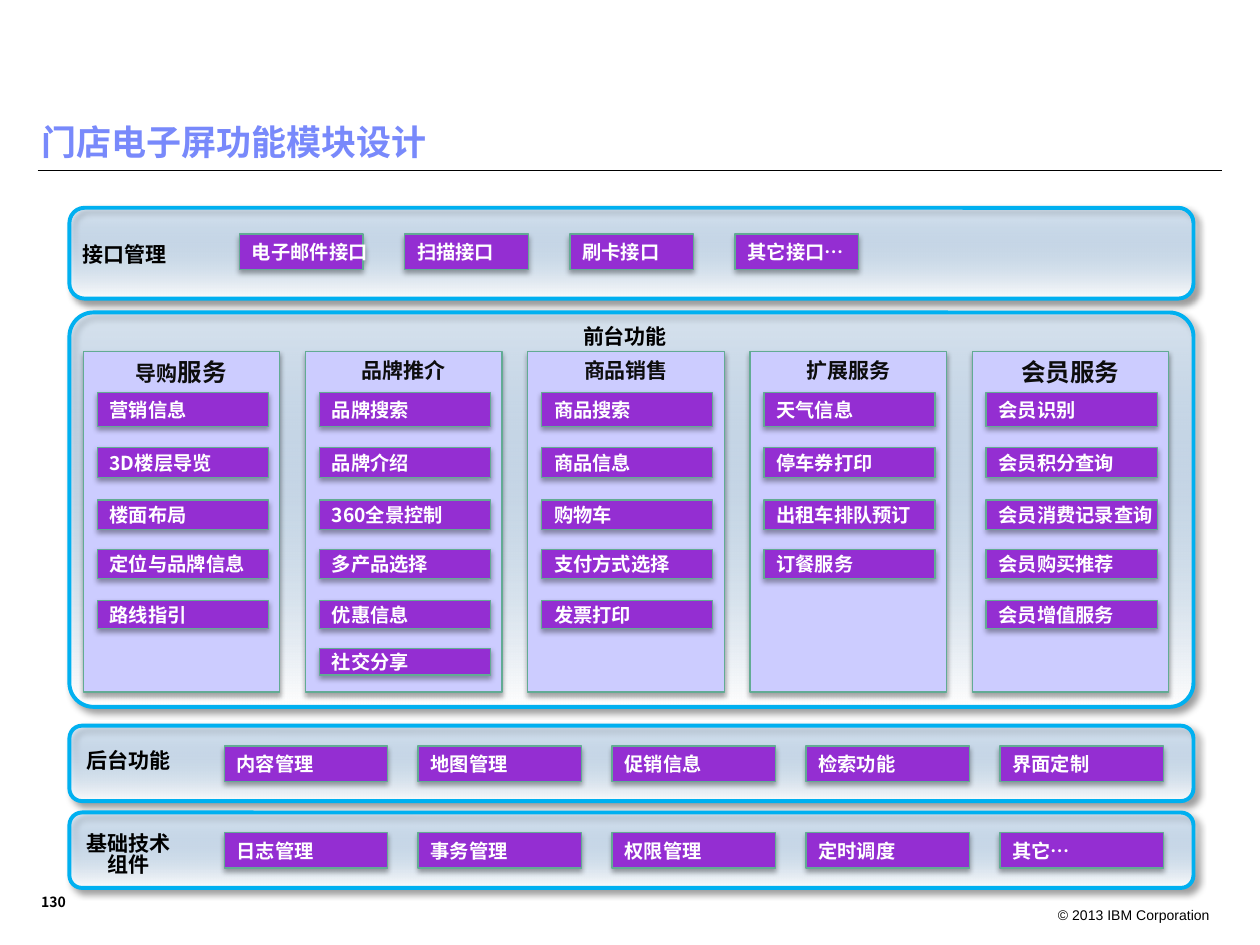
import pptx
import pptx.util
import pptx.dml.color
import pptx.enum.shapes
import pptx.enum.text
import pptx.oxml.ns
import lxml.etree

Cm = pptx.util.Cm
Pt = pptx.util.Pt
ALIGN = pptx.enum.text.PP_ALIGN
ANCHOR = pptx.enum.text.MSO_ANCHOR
SHAPE = pptx.enum.shapes.MSO_SHAPE

TITLE = "门店电子屏功能模块设计"
PAGE_NUMBER = "130"
COPYRIGHT = "© 2013 IBM Corporation"

BANDS = [
    dict(label=["接口管理"], label_at=(0.81, 4.65), top=4.19, height=1.83, corner=0.167,
         chips=["电子邮件接口", "扫描接口", "刷卡接口", "其它接口…"],
         chip_left=4.83, chip_top=4.72, chip_width=2.49, pitch=3.33),
    dict(label=["前台功能"], label_at=(10.9, 6.3), top=6.3, height=7.95, corner=0.061,
         chips=[]),
    dict(label=["后台功能"], label_at=(0.89, 14.86), top=14.63, height=1.52, corner=0.167,
         chips=["内容管理", "地图管理", "促销信息", "检索功能", "界面定制"],
         chip_left=4.52, chip_top=15.04, chip_width=3.3, pitch=3.91),
    dict(label=["基础技术", "组件"], label_at=(0.89, 16.74), top=16.38, height=1.52,
         corner=0.167,
         chips=["日志管理", "事务管理", "权限管理", "定时调度", "其它…"],
         chip_left=4.52, chip_top=16.79, chip_width=3.3, pitch=3.91),
]

COLUMNS = [
    ([("导购", 12), ("服务", 14)],
     ["营销信息", "3D楼层导览", "楼面布局", "定位与品牌信息", "路线指引"]),
    ([("品牌推介", 12)],
     ["品牌搜索", "品牌介绍", "360全景控制", "多产品选择", "优惠信息", "社交分享"]),
    ([("商品销售", 12)],
     ["商品搜索", "商品信息", "购物车", "支付方式选择", "发票打印"]),
    ([("扩展服务", 12)],
     ["天气信息", "停车券打印", "出租车排队预订", "订餐服务"]),
    ([("会员服务", 14)],
     ["会员识别", "会员积分查询", "会员消费记录查询", "会员购买推荐", "会员增值服务"]),
]
COLUMN_LEFT, COLUMN_PITCH, COLUMN_TOP = 1.68, 4.48, 7.08
COLUMN_WIDTH, COLUMN_HEIGHT = 3.96, 6.87
MODULE_ROWS = [(7.91, 0.69), (9.02, 0.61), (10.08, 0.59),
               (11.08, 0.58), (12.1, 0.57), (13.08, 0.53)]

THEME = dict(
    cjk="Noto Sans CJK SC", latin="Arial",
    title="7889FB", ink="000000", heading="0D0D0D", light="FFFFFF",
    chip="942ED2", column="CCCCFF", edge="62AB94",
    band="99CCFF", band_edge="00B0F0",
    title_size=20, label_size=12, chip_size=11, small_size=8,
    band_shadow=(40, 4, 3, 45), chip_shadow=(35, 3.1, 1.8, 90),
)

deck = pptx.Presentation()
deck.slide_width, deck.slide_height = Cm(25.4), Cm(19.05)
slide = deck.slides.add_slide(deck.slide_layouts[5])


def rgb(name):
    return pptx.dml.color.RGBColor.from_string(THEME[name])


def add_child(parent, tag, **attributes):
    child = lxml.etree.SubElement(parent, pptx.oxml.ns.qn(tag))
    for key, value in attributes.items():
        child.set(key, str(value))
    return child


def style(run, size, color, font="cjk", bold=True):
    run.font.size, run.font.bold = Pt(size), bold
    run.font.color.rgb = rgb(color)
    run.font.name = THEME[font]
    add_child(run.font._element, "a:ea", typeface=THEME[font])


def box(kind, left, top, width, height, edge, weight, shadow):
    shape = slide.shapes.add_shape(kind, Cm(left), Cm(top), Cm(width), Cm(height))
    shape.line.color.rgb = rgb(edge)
    shape.line.width = Pt(weight)
    shape.shadow.inherit = False
    opacity, blur, distance, angle = THEME[shadow]
    effects = shape._element.spPr.find(pptx.oxml.ns.qn("a:effectLst"))
    outer = add_child(effects, "a:outerShdw", blurRad=int(Pt(blur)), dist=int(Pt(distance)),
                      dir=angle * 60000, algn="tl", rotWithShape=0)
    add_child(add_child(outer, "a:srgbClr", val=THEME["ink"]), "a:alpha", val=opacity * 1000)
    return shape


def panel(left, top, width, height, fill, runs, color, align, anchor):
    shape = box(SHAPE.RECTANGLE, left, top, width, height, "edge", 0.75, "chip_shadow")
    shape.fill.solid()
    shape.fill.fore_color.rgb = rgb(fill)
    frame = shape.text_frame
    frame.word_wrap = False
    frame.vertical_anchor = anchor
    paragraph = frame.paragraphs[0]
    paragraph.alignment = align
    indent = int(Cm(0.48))
    properties = paragraph._p.get_or_add_pPr()
    properties.set("marL", str(indent))
    properties.set("indent", str(-indent))
    for words, size in runs:
        run = paragraph.add_run()
        run.text = words
        style(run, size, color)


def chip(words, left, top, width, height):
    panel(left, top, width, height, "chip", [(words, THEME["chip_size"])], "light",
          ALIGN.LEFT, ANCHOR.MIDDLE)


def caption(lines, left, top, width, height, size, align, anchor,
            spacing=None, font="cjk", bold=True):
    frame = slide.shapes.add_textbox(Cm(left), Cm(top), Cm(width), Cm(height)).text_frame
    frame.word_wrap = True
    frame.vertical_anchor = anchor
    frame.text = "\n".join(lines)
    for paragraph in frame.paragraphs:
        paragraph.alignment = align
        paragraph.line_spacing = spacing
        style(paragraph.runs[0], size, "ink", font, bold)


def band_background(top, height, corner):
    shape = box(SHAPE.ROUNDED_RECTANGLE, 1.4, top, 22.66, height,
                "band_edge", 2.25, "band_shadow")
    shape.adjustments[0] = corner
    shape.fill.gradient()
    shape.fill.gradient_angle = 270
    for stop, color, position in zip(shape.fill.gradient_stops, ("band", "light"), (0, 1)):
        stop.color.rgb = rgb(color)
        stop.position = position
    tint = next(shape._element.spPr.iter(pptx.oxml.ns.qn("a:srgbClr")))
    add_child(tint, "a:alpha", val=22000)


rule = slide.shapes.add_connector(pptx.enum.shapes.MSO_CONNECTOR.STRAIGHT,
                                  Cm(0.76), Cm(3.43), Cm(24.64), Cm(3.43))
rule.line.color.rgb = rgb("ink")
rule.line.width = Pt(0.75)
add_child(rule._element.spPr, "a:effectLst")

title = slide.shapes.title
title.left, title.top, title.width, title.height = Cm(0.58), Cm(1.63), Cm(24.13), Cm(1.78)
title.text_frame.text = TITLE
title.text_frame.auto_size = pptx.enum.text.MSO_AUTO_SIZE.NONE
title.text_frame.vertical_anchor = ANCHOR.BOTTOM
heading = title.text_frame.paragraphs[0]
heading.alignment, heading.line_spacing = ALIGN.LEFT, 0.9
style(heading.runs[0], THEME["title_size"], "title")

for band in BANDS:
    band_background(band["top"], band["height"], band["corner"])
    for place, words in enumerate(band["chips"]):
        chip(words, band["chip_left"] + place * band["pitch"], band["chip_top"],
             band["chip_width"], 0.71)
    caption(band["label"], *band["label_at"], 3.4, 1.02, THEME["label_size"],
            ALIGN.CENTER, ANCHOR.MIDDLE, 0.85)

for place, (column_heading, modules) in enumerate(COLUMNS):
    left = COLUMN_LEFT + place * COLUMN_PITCH
    panel(left, COLUMN_TOP, COLUMN_WIDTH, COLUMN_HEIGHT, "column", column_heading, "heading",
          ALIGN.CENTER, ANCHOR.TOP)
    for words, (top, height) in zip(modules, MODULE_ROWS):
        chip(words, left + 0.28, top, 3.45, height)

caption([PAGE_NUMBER], 0.58, 17.86, 1.12, 0.61, THEME["small_size"], ALIGN.LEFT, ANCHOR.BOTTOM)
caption([COPYRIGHT], 20.83, 18.16, 3.81, 0.51, THEME["small_size"], ALIGN.RIGHT, ANCHOR.TOP,
        font="latin", bold=False)

deck.save("out.pptx")
